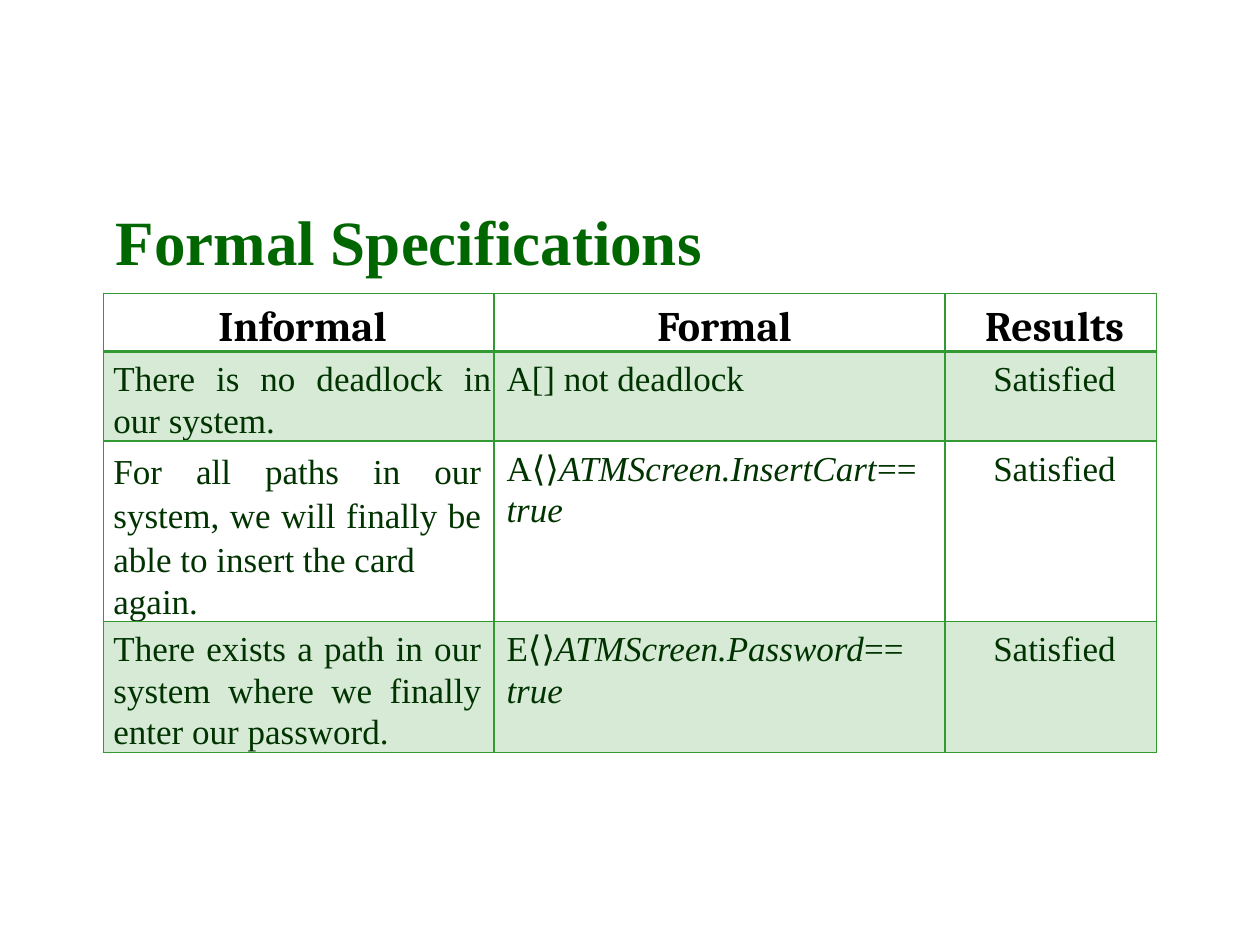
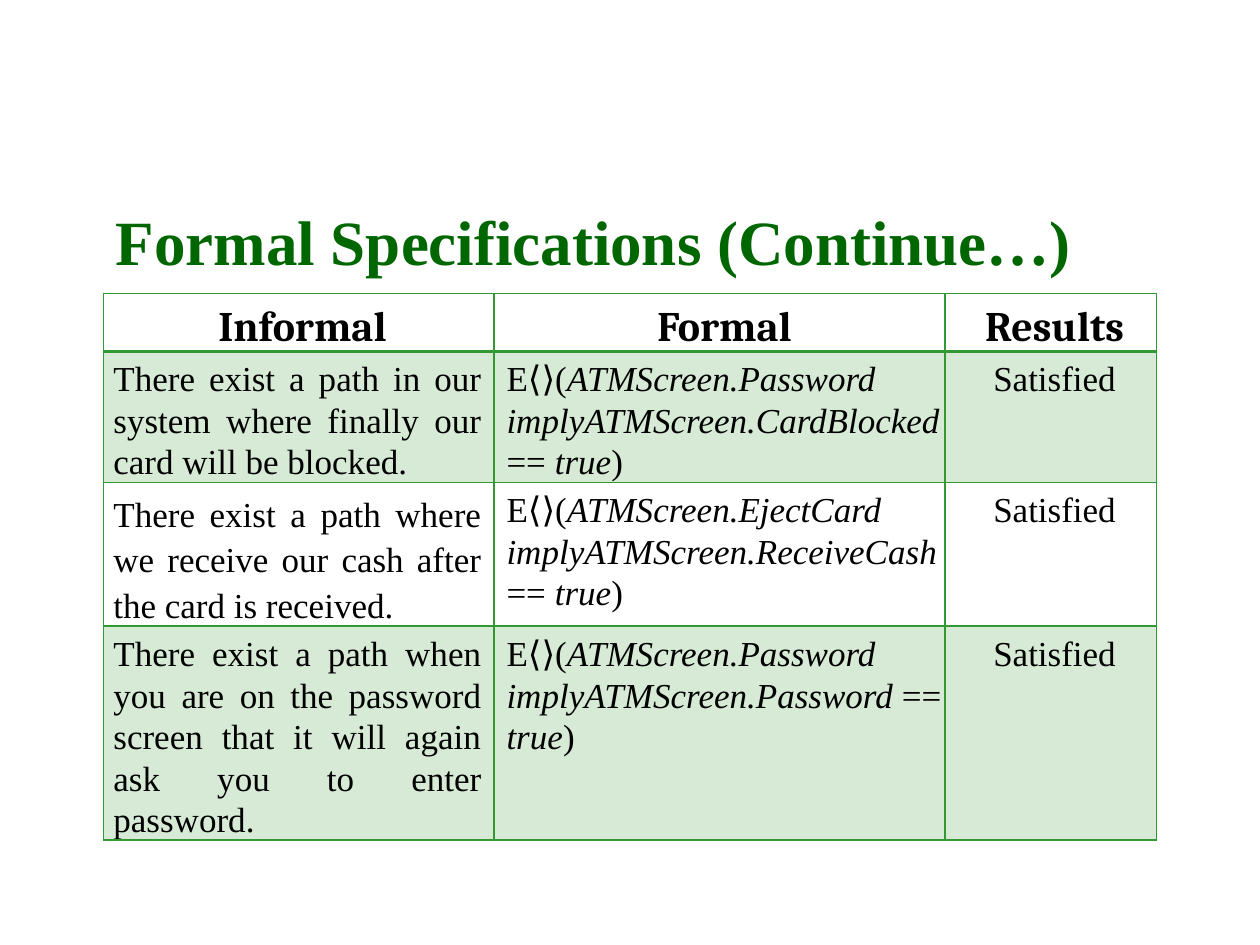
import lxml.etree
import pptx
import pptx.dml.color
import pptx.enum.text
import pptx.oxml
import pptx.oxml.ns
import pptx.util

Inches = pptx.util.Inches
Pt = pptx.util.Pt
RGBColor = pptx.dml.color.RGBColor
Align = pptx.enum.text.PP_ALIGN
qn = pptx.oxml.ns.qn

TITLE_GREEN = RGBColor(0x00, 0x66, 0x00)
GRID_GREEN = RGBColor(0x33, 0x99, 0x33)
DARK_GREEN = RGBColor(0x00, 0x33, 0x00)
BLACK = RGBColor(0x00, 0x00, 0x00)

SERIF = "Times New Roman"
LEFT = Inches(0.82)
FULL_WIDTH = Inches(8.36)
COLUMN_WIDTHS = [3.1, 3.58, 1.68]
ROW_HEIGHTS = [0.41, 0.55, 0.41, 0.41]
INDENTS = [0.08, 0.1, 0.08]
HEADINGS = ["Informal", "Formal", "Results"]
VERDICT = "Satisfied"
SPACING = 1.07

pages = [
    {
        "title": "Formal Specifications",
        "title_width": 7.17,
        "table_height": 3.8,
        "text_color": DARK_GREEN,
        "formal_align": Align.JUSTIFY,
        "specifications": [
            ([("There is no deadlock in our system.", SPACING)],
             [("A[] not deadlock", False)]),
            ([("For all paths in our system, we will finally be able to insert the card", 1.14),
              ("again.", SPACING)],
             [("A⟨⟩", False), ("ATMScreen.InsertCart", True), ("== ", False), ("true", True)]),
            ([("There exists a path in our system where we finally enter our password.", SPACING)],
             [("E⟨⟩", False), ("ATMScreen.Password", True), ("== ", False), ("true", True)]),
        ],
    },
    {
        "title": "Formal Specifications (Continue…)",
        "title_width": 8.36,
        "table_height": 4.55,
        "text_color": BLACK,
        "formal_align": Align.LEFT,
        "specifications": [
            ([(informal, spacing)],
             [("E⟨⟩(", False), (f"ATMScreen.{start} implyATMScreen.{outcome} ", True),
              ("== ", False), ("true", True), (")", False)])
            for informal, spacing, start, outcome in [
                ("There exist a path in our system where finally our card will be blocked.",
                 SPACING, "Password", "CardBlocked"),
                ("There exist a path where we receive our cash after the card is received.",
                 1.18, "EjectCard", "ReceiveCash"),
                ("There exist a path when you are on the password screen that it will again "
                 "ask you to enter password.", SPACING, "Password", "Password"),
            ]
        ],
    },
]


def add_runs(paragraph, pieces, font_name, size, color, bold=False):
    for text, italic in pieces:
        run = paragraph.add_run()
        run.text = text
        run.font.name = font_name
        run.font.size = Pt(size)
        run.font.color.rgb = color
        run.font.bold = bold
        run.font.italic = italic


def style_cell(cell, shaded, bottom_width):
    cell.margin_left = cell.margin_bottom = 0
    cell.margin_top = Inches(0.05)
    cell.margin_right = Inches(0.02)
    properties = cell._tc.get_or_add_tcPr()
    if shaded:
        cell.fill.solid()
        cell.fill.fore_color.rgb = GRID_GREEN
        tint = properties.find(qn("a:solidFill")).find(qn("a:srgbClr"))
        lxml.etree.SubElement(tint, qn("a:alpha"), val="20000")
    else:
        cell.fill.background()
    for position, (side, width) in enumerate([("L", 1), ("R", 1), ("T", 1), ("B", bottom_width)]):
        border = lxml.etree.Element(qn(f"a:ln{side}"), w=str(Pt(width)))
        border_fill = lxml.etree.SubElement(border, qn("a:solidFill"))
        lxml.etree.SubElement(border_fill, qn("a:srgbClr"), val=str(GRID_GREEN))
        properties.insert(position, border)


deck = pptx.Presentation()
deck.slide_width = Inches(10)
deck.slide_height = Inches(7.5)

for page in pages:
    slide = deck.slides.add_slide(deck.slide_layouts[5])

    heading = slide.shapes.title
    heading.left, heading.top = LEFT, Inches(1.48)
    heading.width, heading.height = Inches(page["title_width"]), Inches(0.85)
    heading.text_frame.word_wrap = True
    heading.text_frame.auto_size = pptx.enum.text.MSO_AUTO_SIZE.NONE
    heading.text_frame.vertical_anchor = pptx.enum.text.MSO_ANCHOR.MIDDLE
    heading_line = heading.text_frame.paragraphs[0]
    heading_line.alignment = Align.LEFT
    add_runs(heading_line, [(page["title"], False)], SERIF, 36, TITLE_GREEN, True)

    table_height = Inches(page["table_height"])
    specification_frame = slide.shapes.add_table(
        4, 3, LEFT, Inches(2.33), FULL_WIDTH, table_height)
    specification_table = specification_frame.table
    specification_table.first_row = False
    specification_table.horz_banding = False
    for column, width in zip(specification_table.columns, COLUMN_WIDTHS):
        column.width = Inches(width)
    for row, height in zip(specification_table.rows, ROW_HEIGHTS):
        row.height = Inches(height)
    specification_frame.height = table_height

    rows = [[[([(text, False)], SPACING)] for text in HEADINGS]]
    for informal, formal in page["specifications"]:
        rows.append([
            [([(text, False)], spacing) for text, spacing in informal],
            [(formal, SPACING)],
            [([(VERDICT, False)], SPACING)],
        ])

    body_aligns = [Align.JUSTIFY, page["formal_align"], Align.CENTER]
    for row_index, row_content in enumerate(rows):
        is_header = row_index == 0
        for column_index, lines in enumerate(row_content):
            cell = specification_table.cell(row_index, column_index)
            style_cell(cell, row_index % 2 == 1, 2 if is_header else 1)
            for line_index, (pieces, spacing) in enumerate(lines):
                frame = cell.text_frame
                line = frame.paragraphs[0] if line_index == 0 else frame.add_paragraph()
                line.alignment = Align.CENTER if is_header else body_aligns[column_index]
                line.line_spacing = spacing
                line_properties = line._p.get_or_add_pPr()
                line_properties.set("marL", str(Inches(INDENTS[column_index])))
                line_properties.set("indent", "0")
                if column_index == 0 and not is_header and "deadlock" not in pieces[0][0]:
                    line_properties.set("marR", str(Inches(0.08)))
                if is_header:
                    add_runs(line, pieces, "Cambria", 24, BLACK, True)
                else:
                    add_runs(line, pieces, SERIF, 20, page["text_color"])

deck.save("out.pptx")
